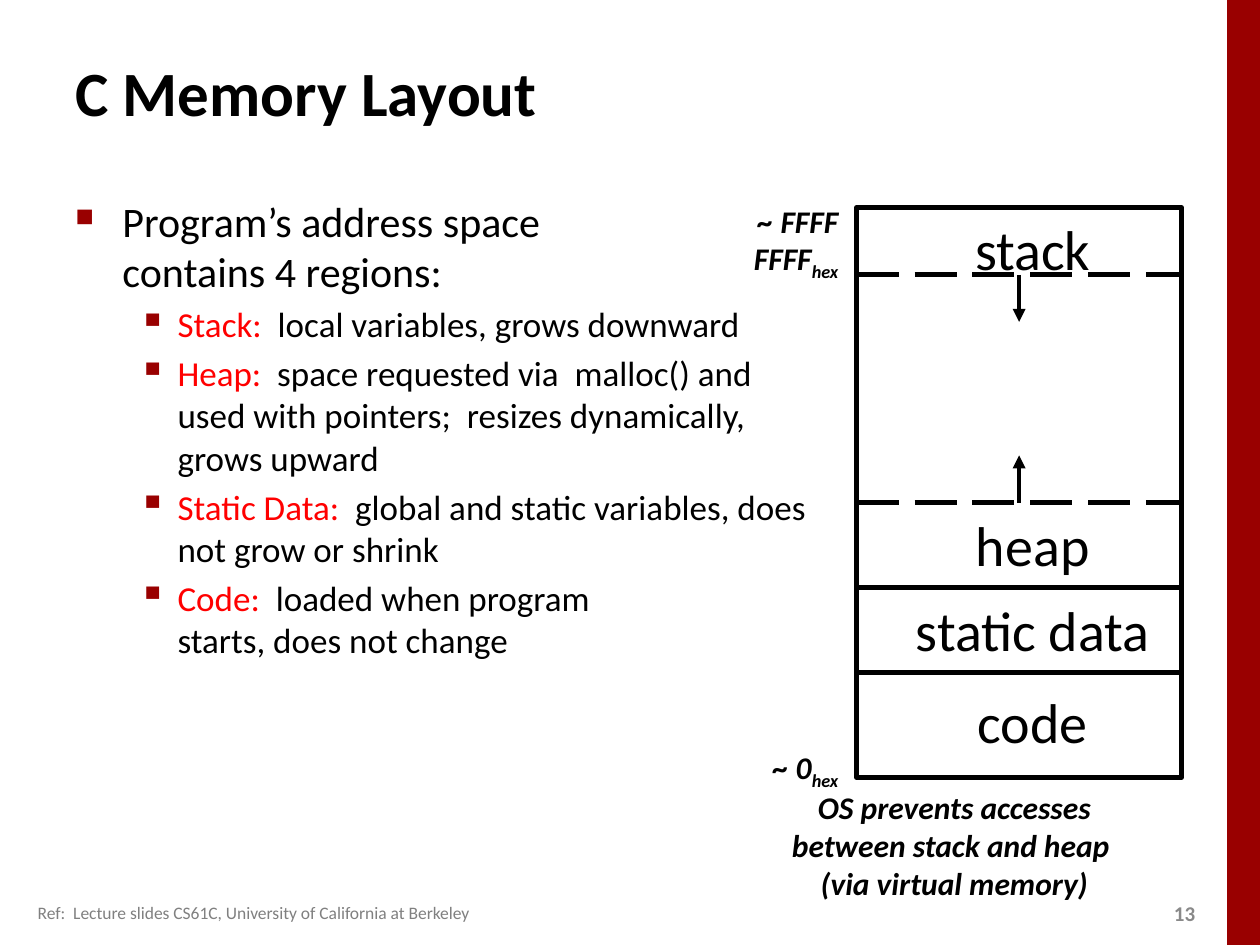
from lxml import etree
from pptx import Presentation
from pptx.dml.color import RGBColor
from pptx.enum.dml import MSO_LINE
from pptx.enum.shapes import MSO_CONNECTOR, MSO_SHAPE
from pptx.enum.text import MSO_ANCHOR, PP_ALIGN
from pptx.oxml.ns import qn
from pptx.util import Cm, Pt

LEFT, MID, RIGHT = PP_ALIGN.LEFT, PP_ALIGN.CENTER, PP_ALIGN.RIGHT
TOP, CENTER = MSO_ANCHOR.TOP, MSO_ANCHOR.MIDDLE
RECT, LINE, DASH = MSO_SHAPE.RECTANGLE, MSO_CONNECTOR.STRAIGHT, MSO_LINE.LONG_DASH
BLACK = RGBColor(0, 0, 0)
WHITE = RGBColor(255, 255, 255)
RED = RGBColor(255, 0, 0)
MAROON = RGBColor(0x99, 0, 0)
GRAY = RGBColor(0x80, 0x80, 0x80)
PALE = RGBColor(0x89, 0x89, 0x89)
FONT = "Calibri"


def add_box(slide, x, y, w, h, fill=None, edge=None, width=3):
    shape = slide.shapes.add_shape(RECT, Cm(x), Cm(y), Cm(w), Cm(h))
    shape.shadow.inherit = False
    if fill is None:
        shape.fill.background()
    else:
        shape.fill.solid()
        shape.fill.fore_color.rgb = fill
    if edge is None:
        shape.line.fill.background()
    else:
        shape.line.color.rgb = edge
        shape.line.width = Pt(width)


def add_line(slide, x1, y1, x2, y2, width, dash=None, arrow=False):
    line = slide.shapes.add_connector(LINE, Cm(x1), Cm(y1), Cm(x2), Cm(y2))
    line.line.color.rgb = BLACK
    line.line.width = Pt(width)
    if dash is not None:
        line.line.dash_style = dash
    props = line._element.spPr
    if arrow:
        etree.SubElement(props.find(qn("a:ln")), qn("a:tailEnd"), type="triangle")
    etree.SubElement(props, qn("a:effectLst"))


def add_frame(slide, x, y, w, h, anchor=TOP):
    frame = slide.shapes.add_textbox(Cm(x), Cm(y), Cm(w), Cm(h)).text_frame
    frame.word_wrap = True
    frame.vertical_anchor = anchor
    return frame


def add_run(para, text, size, color=BLACK, bold=False, italic=False, sub=False):
    for i, part in enumerate(text.split("\n")):
        if i:
            para.add_line_break()
        run = para.add_run()
        run.text = part
        font = run.font
        font.name, font.size, font.bold, font.italic = FONT, Pt(size), bold, italic
        font.color.rgb = color
        if sub:
            font._element.set("baseline", "-25000")


def add_text(slide, box, text, size, align=LEFT, anchor=TOP, **style):
    para = add_frame(slide, *box, anchor).paragraphs[0]
    para.alignment = align
    add_run(para, text, size, **style)


def add_mark(para, char, scale, left, hang):
    props = para._p.get_or_add_pPr()
    props.set("marL", str(Cm(left)))
    props.set("indent", str(-Cm(hang)))
    color = etree.SubElement(props, qn("a:buClr"))
    etree.SubElement(color, qn("a:srgbClr"), val=str(MAROON))
    etree.SubElement(props, qn("a:buSzPct"), val=str(scale * 1000))
    etree.SubElement(props, qn("a:buChar"), char=char)


def add_list(slide, x, y, w, h, head, items):
    frame = add_frame(slide, x, y, w, h)
    para = frame.paragraphs[0]
    add_mark(para, "■", 60, 0.95, 0.95)
    add_run(para, head, 24)
    for term, text in items:
        para = frame.add_paragraph()
        para.level = 1
        para.space_before = Pt(4)
        add_mark(para, "▪", 110, 2.06, 0.79)
        add_run(para, term, 20, RED)
        add_run(para, text, 20)


def add_hex(slide, x, y, w, h, text):
    para = add_frame(slide, x, y, w, h).paragraphs[0]
    para.alignment = RIGHT
    add_run(para, text, 18, bold=True, italic=True)
    add_run(para, "hex", 18, bold=True, italic=True, sub=True)


def add_memory(slide, x, y, w, h):
    stack, heap, data, code = 1.35, 5.94, 7.65, 9.37
    add_box(slide, x, y + stack, w, heap - stack, WHITE, WHITE, 1)
    add_box(slide, x, y, w, h, edge=BLACK)
    add_box(slide, x, y + code, w, h - code, edge=BLACK, width=1)
    add_box(slide, x, y + data, w, code - data, edge=BLACK)
    for edge, shift in ((heap, -0.95), (stack, 0.95)):
        add_line(slide, x, y + edge, x + w, y + edge, 3, dash=DASH)
        mid = x + w / 2
        add_line(slide, mid, y + edge, mid, y + edge + shift, 2.5, arrow=True)
    labels = (("code", 9.55), ("static data", 7.7), ("heap", 5.97), ("stack", 0))
    for text, top in labels:
        add_text(slide, (x + 0.8, y + top, 5.5, 1.47), text, 32, MID)
    add_hex(slide, x - 4.06, y - 0.25, 3.94, 0.91, "~ FFFF FFFF")
    add_hex(slide, x - 2.1, y + h - 0.71, 1.98, 0.91, "~ 0")


def add_note(slide, x, y, w, h):
    frame = add_frame(slide, x, y, w, h)
    first, last = frame.paragraphs[0], frame.add_paragraph()
    first.alignment = last.alignment = MID
    text = "OS prevents accesses\nbetween stack and heap "
    add_run(first, text, 18, bold=True, italic=True)
    add_run(last, "(via virtual memory)", 18, bold=True, italic=True)


def main():
    deck = Presentation()
    deck.slide_width, deck.slide_height = Cm(25.4), Cm(19.05)
    slide = deck.slides.add_slide(deck.slide_layouts[6])
    add_box(slide, 24.74, 0, 0.66, 19.05, MAROON)
    add_text(slide, (23.37, 18.03, 1.02, 0.76), "13", 12, MID, CENTER,
             color=PALE, bold=True)
    add_text(slide, (1.27, 0.25, 22.86, 3.18), "C Memory Layout", 36,
             anchor=CENTER, bold=True)
    add_list(slide, 1.27, 3.81, 15.24, 13.46,
             "Program’s address space \ncontains 4 regions:", (
                 ("Stack:", "  local variables, grows downward"),
                 ("Heap:", "  space requested via  malloc() and used with pointers;"
                  "  resizes dynamically, grows upward"),
                 ("Static Data:  ", "global and static variables, does not grow or shrink"),
                 ("Code:", "  loaded when program \nstarts, does not change")))
    add_memory(slide, 17.27, 4.19, 6.55, 11.48)
    add_note(slide, 15.67, 15.77, 7.14, 2.57)
    add_text(slide, (0.51, 18.06, 16.41, 0.69),
             "Ref:  Lecture slides CS61C, University of California at Berkeley", 10,
             color=GRAY)
    deck.save("out.pptx")


if __name__ == "__main__":
    main()
